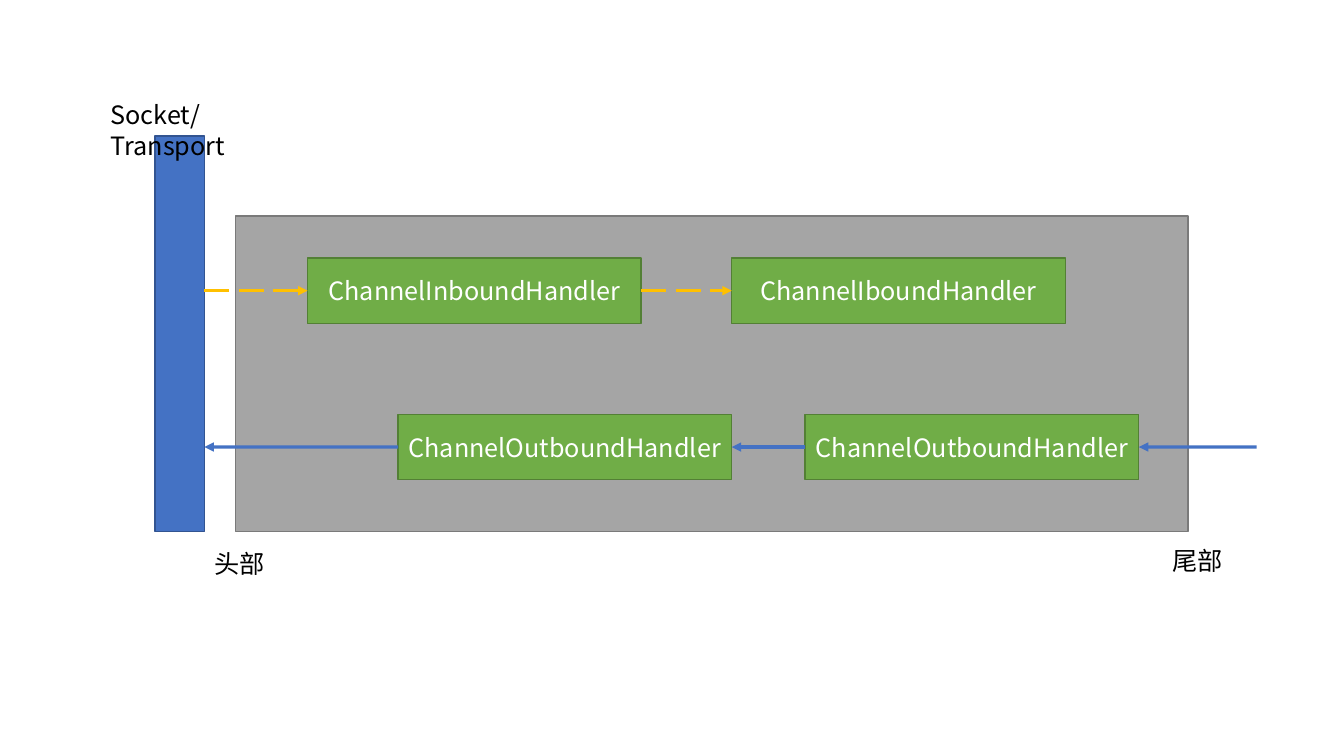
from dataclasses import dataclass
from typing import Optional

from lxml.etree import SubElement
from pptx import Presentation
from pptx.dml.color import RGBColor
from pptx.enum.dml import MSO_LINE_DASH_STYLE as Dash
from pptx.enum.shapes import MSO_CONNECTOR as Connector, MSO_SHAPE as Preset
from pptx.enum.text import MSO_ANCHOR as Anchor, MSO_AUTO_SIZE as AutoSize, PP_ALIGN as Align
from pptx.oxml.ns import qn
from pptx.shapes.autoshape import Shape
from pptx.slide import Slide
from pptx.util import Cm, Pt


@dataclass(frozen=True)
class Theme:
    font: str = "Noto Sans CJK SC"
    text_size: float = 18
    outline: float = 1
    arrow_width: float = 2.25
    dark: str = "000000"
    light: str = "FFFFFF"
    transport: str = "4472C4"
    transport_edge: str = "325491"
    pipeline: str = "A5A5A5"
    pipeline_edge: str = "7A7A7A"
    handler: str = "70AD47"
    handler_edge: str = "538035"
    inbound: str = "FFC000"
    outbound: str = "4472C4"


@dataclass(frozen=True)
class Block:
    left: float
    top: float
    width: float
    height: float
    fill: str
    edge: str
    text: str = ""


@dataclass(frozen=True)
class Label:
    left: float
    top: float
    width: float
    text: str
    wrap: bool = False


@dataclass(frozen=True)
class Arrow:
    start: float
    end: float
    level: float
    color: str
    dashed: bool = False
    source: Optional[Shape] = None
    target: Optional[Shape] = None


THEME = Theme()
LEFT_SIDE, RIGHT_SIDE = 1, 3
HANDLER_WIDTH, HANDLER_HEIGHT = 8.41, 1.65
LABEL_HEIGHT = 1.02
INBOUND_TOP, OUTBOUND_TOP = 6.5, 10.44
TRANSPORT = Block(3.91, 3.43, 1.24, 9.96, THEME.transport, THEME.transport_edge)
PIPELINE = Block(5.94, 5.44, 24, 7.95, THEME.pipeline, THEME.pipeline_edge)
LABELS = (
    Label(2.54, 2.39, 5.21, "Socket/Transport", wrap=True),
    Label(5.16, 13.69, 1.8, "头部"),
    Label(29.29, 13.61, 1.8, "尾部"),
)


def write(box: Shape, text: str, *, color: str, align: Align = Align.LEFT,
          anchor: Anchor = Anchor.TOP, wrap: bool = True) -> None:
    frame = box.text_frame
    frame.word_wrap = wrap
    frame.vertical_anchor = anchor
    para = frame.paragraphs[0]
    para.alignment = align
    span = para.add_run()
    span.text = text
    span.font.size = Pt(THEME.text_size)
    span.font.name = THEME.font
    span.font.color.rgb = RGBColor.from_string(color)
    SubElement(span.font._element, qn("a:ea"), typeface=THEME.font)


def draw_block(page: Slide, block: Block) -> Shape:
    box = page.shapes.add_shape(Preset.RECTANGLE, Cm(block.left), Cm(block.top),
                                Cm(block.width), Cm(block.height))
    box.shadow.inherit = False
    box.fill.solid()
    box.fill.fore_color.rgb = RGBColor.from_string(block.fill)
    box.line.color.rgb = RGBColor.from_string(block.edge)
    box.line.width = Pt(THEME.outline)
    if block.text:
        write(box, block.text, color=THEME.light, align=Align.CENTER, anchor=Anchor.MIDDLE)
    return box


def draw_handler(page: Slide, left: float, top: float, text: str) -> Shape:
    return draw_block(page, Block(left, top, HANDLER_WIDTH, HANDLER_HEIGHT,
                                  THEME.handler, THEME.handler_edge, text))


def draw_label(page: Slide, label: Label) -> None:
    box = page.shapes.add_textbox(Cm(label.left), Cm(label.top),
                                  Cm(label.width), Cm(LABEL_HEIGHT))
    write(box, label.text, color=THEME.dark, wrap=label.wrap)
    box.text_frame.auto_size = AutoSize.SHAPE_TO_FIT_TEXT


def draw_arrow(page: Slide, arrow: Arrow) -> None:
    line = page.shapes.add_connector(Connector.STRAIGHT, Cm(arrow.start), Cm(arrow.level),
                                     Cm(arrow.end), Cm(arrow.level))
    forward = arrow.end > arrow.start
    if arrow.source is not None:
        line.begin_connect(arrow.source, RIGHT_SIDE if forward else LEFT_SIDE)
    if arrow.target is not None:
        line.end_connect(arrow.target, LEFT_SIDE if forward else RIGHT_SIDE)
    line.line.color.rgb = RGBColor.from_string(arrow.color)
    line.line.width = Pt(THEME.arrow_width)
    if arrow.dashed:
        line.line.dash_style = Dash.LONG_DASH
    SubElement(line.line._get_or_add_ln(), qn("a:tailEnd"), type="triangle")
    SubElement(line._element.spPr, qn("a:effectLst"))


def main() -> None:
    deck = Presentation()
    deck.slide_width, deck.slide_height = Cm(33.87), Cm(19.05)
    page = deck.slides.add_slide(deck.slide_layouts[6])

    for block in (TRANSPORT, PIPELINE):
        draw_block(page, block)
    first_in = draw_handler(page, 7.75, INBOUND_TOP, "ChannelInboundHandler")
    second_in = draw_handler(page, 18.44, INBOUND_TOP, "ChannelIboundHandler")
    last_out = draw_handler(page, 10.03, OUTBOUND_TOP, "ChannelOutboundHandler")
    first_out = draw_handler(page, 20.29, OUTBOUND_TOP, "ChannelOutboundHandler")

    transport_edge = TRANSPORT.left + TRANSPORT.width
    inbound_level = INBOUND_TOP + HANDLER_HEIGHT / 2
    outbound_level = OUTBOUND_TOP + HANDLER_HEIGHT / 2
    arrows = (
        Arrow(31.67, 28.7, outbound_level, THEME.outbound, target=first_out),
        Arrow(20.29, 18.44, outbound_level, THEME.outbound, source=first_out, target=last_out),
        Arrow(10.03, transport_edge, outbound_level, THEME.outbound, source=last_out),
        Arrow(transport_edge, 7.75, inbound_level, THEME.inbound, True, target=first_in),
        Arrow(16.16, 18.44, inbound_level, THEME.inbound, True, first_in, second_in),
    )
    for arrow in arrows:
        draw_arrow(page, arrow)
    for label in LABELS:
        draw_label(page, label)
    deck.save("out.pptx")


if __name__ == "__main__":
    main()
